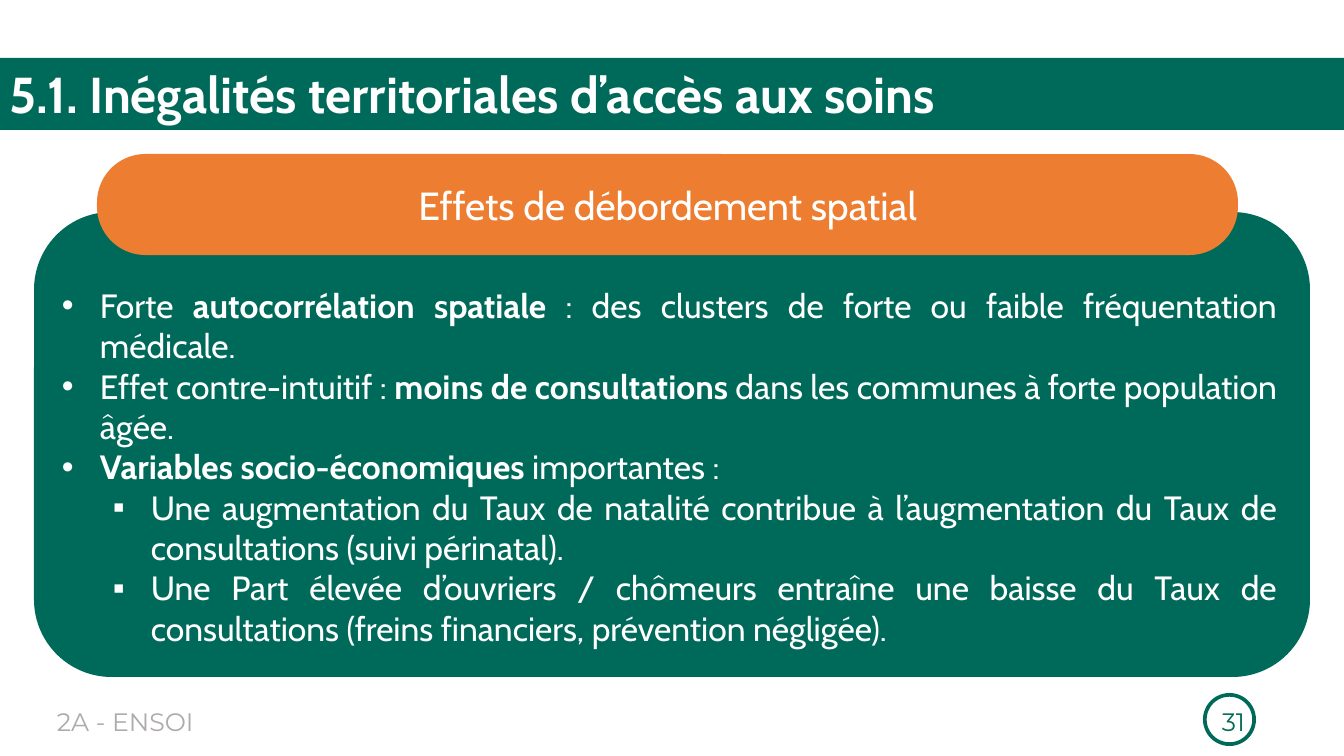
from dataclasses import dataclass

from lxml import etree
from pptx import Presentation
from pptx.dml.color import RGBColor
from pptx.enum.shapes import MSO_SHAPE
from pptx.enum.text import MSO_ANCHOR, PP_ALIGN
from pptx.oxml.ns import qn
from pptx.util import Emu, Pt

RECTANGLE = MSO_SHAPE.RECTANGLE
ROUNDED = MSO_SHAPE.ROUNDED_RECTANGLE
DONUT = MSO_SHAPE.DONUT
TOP, MIDDLE = MSO_ANCHOR.TOP, MSO_ANCHOR.MIDDLE
LEFT, CENTER, RIGHT, JUSTIFY = PP_ALIGN.LEFT, PP_ALIGN.CENTER, PP_ALIGN.RIGHT, PP_ALIGN.JUSTIFY

EMU_PER_PX = 914400 / 100.8
SLIDE_WIDTH, SLIDE_HEIGHT = 1344, 756
BULLET_HANG, LEVEL_STEP = 38, 51
BULLETS = ("•", "▪")

FINDINGS = (
    (0, (("Forte ", False), ("autocorrélation spatiale", True),
         (" : des clusters de forte ou faible fréquentation médicale.", False))),
    (0, (("Effet contre-intuitif : ", False), ("moins de consultations", True),
         (" dans les communes à forte population âgée.", False))),
    (0, (("Variables socio-économiques", True), (" importantes :", False))),
    (1, (("Une augmentation du Taux de natalité contribue à l’augmentation "
          "du Taux de consultations (suivi périnatal).", False),)),
    (1, (("Une Part élevée d’ouvriers / chômeurs entraîne une baisse du Taux "
          "de consultations (freins financiers, prévention négligée).", False),)),
)


@dataclass(frozen=True)
class Theme:
    green: str = "006A5A"
    orange: str = "ED7D31"
    white: str = "FFFFFF"
    gray: str = "AFABAB"
    body_font: str = "Cabin"
    footer_font: str = "Montserrat"
    title_size: int = 36
    heading_size: int = 28
    body_size: int = 24
    footer_size: int = 18


def px(length):
    return Emu(round(length * EMU_PER_PX))


class SlideBuilder:
    def __init__(self, slide, theme):
        self.slide = slide
        self.theme = theme

    def shape(self, kind, box, color, adjustment=None):
        shape = self.slide.shapes.add_shape(kind, *map(px, box))
        shape.shadow.inherit = False
        shape.fill.solid()
        shape.fill.fore_color.rgb = RGBColor.from_string(color)
        shape.line.fill.background()
        if adjustment is not None:
            shape.adjustments[0] = adjustment
        return shape

    def text_box(self, box):
        return self.slide.shapes.add_textbox(*map(px, box))

    def style(self, paragraph, font, size, color, align):
        paragraph.alignment = align
        paragraph.font.name = font
        paragraph.font.size = Pt(size)
        paragraph.font.color.rgb = RGBColor.from_string(color)

    def label(self, shape, text, font, size, color, align=LEFT, anchor=TOP, bold=False):
        frame = shape.text_frame
        frame.word_wrap = True
        frame.vertical_anchor = anchor
        paragraph = frame.paragraphs[0]
        paragraph.text = text
        self.style(paragraph, font, size, color, align)
        paragraph.font.bold = bold

    def bullet(self, paragraph, level):
        paragraph.level = level
        properties = paragraph._p.get_or_add_pPr()
        properties.set("marL", str(px(BULLET_HANG + level * LEVEL_STEP)))
        properties.set("indent", str(-px(BULLET_HANG)))
        typeface = etree.Element(qn("a:buFont"), typeface="Arial")
        character = etree.Element(qn("a:buChar"), char=BULLETS[level])
        properties.insert(0, typeface)
        typeface.addnext(character)

    def bullet_list(self, box, items):
        frame = self.text_box(box).text_frame
        frame.word_wrap = True
        frame.vertical_anchor = MIDDLE
        for index, (level, runs) in enumerate(items):
            paragraph = frame.add_paragraph() if index else frame.paragraphs[0]
            self.style(paragraph, self.theme.body_font, self.theme.body_size,
                       self.theme.white, JUSTIFY)
            self.bullet(paragraph, level)
            for text, bold in runs:
                run = paragraph.add_run()
                run.text = text
                run.font.bold = bold


def main():
    presentation = Presentation()
    presentation.slide_width = px(SLIDE_WIDTH)
    presentation.slide_height = px(SLIDE_HEIGHT)
    slide = presentation.slides.add_slide(presentation.slide_layouts[6])
    theme = Theme()
    builder = SlideBuilder(slide, theme)

    builder.shape(DONUT, (1203, 693, 53, 53), theme.green, 0.07)
    builder.label(builder.text_box((47, 701, 230, 40)), "2A - ENSOI",
                  theme.footer_font, theme.footer_size, theme.gray)
    builder.label(builder.text_box((953, 701, 302, 40)), "31",
                  theme.footer_font, theme.footer_size, theme.green, RIGHT)

    title = builder.shape(RECTANGLE, (0, 58, SLIDE_WIDTH, 72), theme.green)
    builder.label(title, "5.1. Inégalités territoriales d’accès aux soins",
                  theme.body_font, theme.title_size, theme.white, bold=True)

    builder.shape(ROUNDED, (34, 212, 1276, 465), theme.green)
    builder.bullet_list((52, 278, 1235, 377), FINDINGS)
    heading = builder.shape(ROUNDED, (97, 154, 1141, 101), theme.orange, 0.48)
    builder.label(heading, "Effets de débordement spatial", theme.body_font,
                  theme.heading_size, theme.white, CENTER, MIDDLE)

    presentation.save("out.pptx")


if __name__ == "__main__":
    main()
